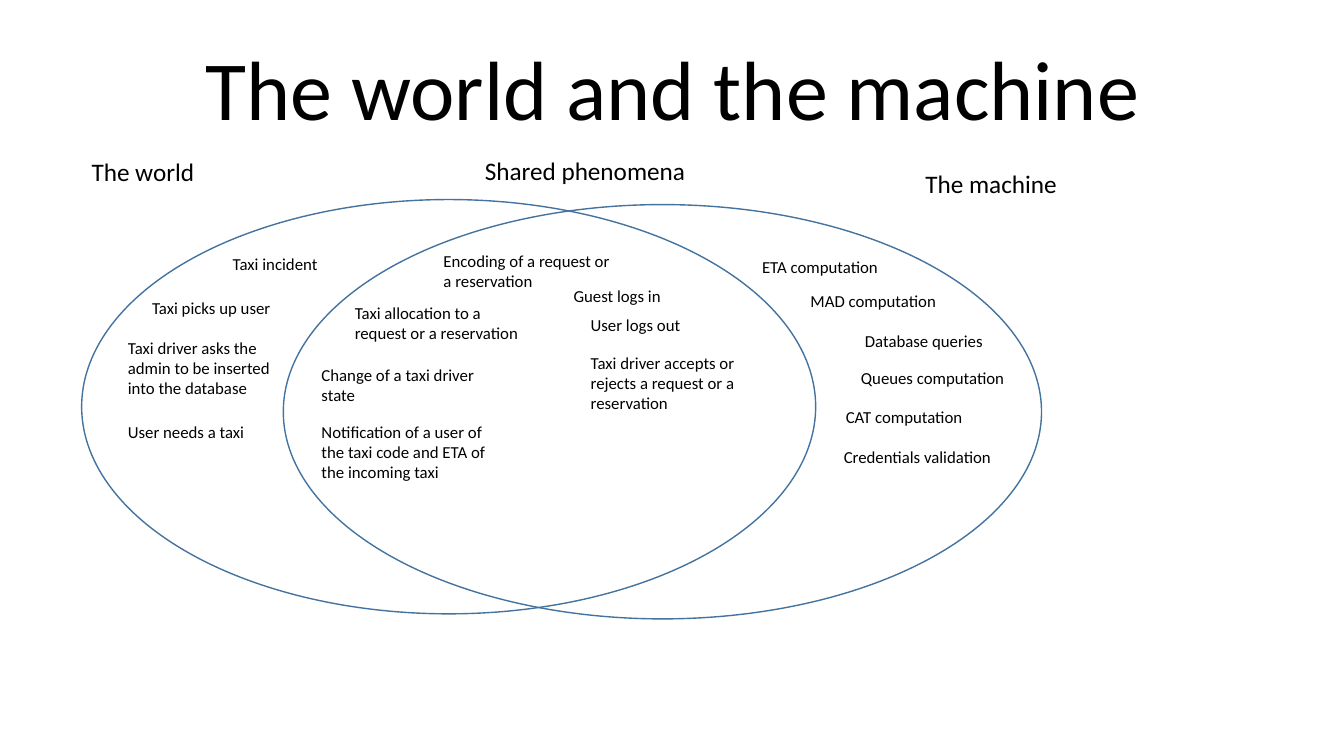
import pptx
import pptx.dml.color
import pptx.enum.shapes
import pptx.enum.text
import pptx.util

EMU_PER_PX = 9144  # 100 px to the inch
SLIDE_SIZE = (1333, 750)
BLACK = pptx.dml.color.RGBColor(0x00, 0x00, 0x00)
OUTLINE_BLUE = pptx.dml.color.RGBColor(0x43, 0x73, 0x9E)

TITLE = ("The world and the machine", (167, 29, 1000, 114))

# left, top, width, height
ELLIPSES = [
    (81, 198, 728, 411),
    (281, 203, 752, 411),
]

# text, (left, top, width, height)
HEADINGS = [
    ("The world", (81, 150, 217, 40)),
    ("The machine", (908, 162, 250, 71)),
    ("Shared phenomena", (471, 149, 229, 40)),
]

# text, left, top, height
PHENOMENA_WIDTH = 189
WORLD = [
    ("Taxi incident", 221, 247, 30),
    ("Taxi picks up user", 141, 290, 30),
    ("Taxi driver asks the admin to be inserted into the database", 117, 330, 71),
    ("User needs a taxi", 117, 413, 30),
]
SHARED = [
    ("Encoding of a request or a reservation", 430, 244, 50),
    ("Taxi allocation to a request or a reservation", 342, 295, 50),
    ("Change of a taxi driver state", 309, 357, 50),
    ("Notification of a user of the taxi code and ETA of the incoming taxi", 309, 413, 71),
    ("Guest logs in", 559, 279, 50),
    ("User logs out", 576, 307, 71),
    ("Taxi driver accepts or rejects a request or a reservation", 576, 345, 71),
]
MACHINE = [
    ("ETA computation", 746, 250, 30),
    ("MAD computation", 794, 284, 30),
    ("Database queries", 848, 323, 30),
    ("Queues computation", 844, 360, 30),
    ("CAT computation", 829, 399, 30),
    ("Credentials validation", 827, 438, 50),
]

TITLE_FRAME = {
    "word_wrap": True,
    "auto_size": pptx.enum.text.MSO_AUTO_SIZE.NONE,
    "vertical_anchor": pptx.enum.text.MSO_ANCHOR.BOTTOM,
}
TITLE_PARAGRAPH = {"alignment": pptx.enum.text.PP_ALIGN.CENTER, "line_spacing": 0.9}
LABEL_FRAME = {
    "word_wrap": True,
    "auto_size": pptx.enum.text.MSO_AUTO_SIZE.SHAPE_TO_FIT_TEXT,
}


def to_emu(lengths):
    return [pptx.util.Emu(length * EMU_PER_PX) for length in lengths]


def set_attributes(target, values):
    for name, value in values.items():
        setattr(target, name, value)


def write_text(shape, text, size, frame_format, paragraph_format):
    frame = shape.text_frame
    set_attributes(frame, frame_format)
    paragraph = frame.paragraphs[0]
    set_attributes(paragraph, paragraph_format)
    run = paragraph.add_run()
    run.text = text
    set_attributes(run.font, {"name": "Calibri", "size": pptx.util.Pt(size)})
    run.font.color.rgb = BLACK


def add_title(slide):
    text, box = TITLE
    title = slide.shapes.title
    set_attributes(title, dict(zip(("left", "top", "width", "height"), to_emu(box))))
    write_text(title, text, 60, TITLE_FRAME, TITLE_PARAGRAPH)
    subtitle = slide.placeholders[1].element
    subtitle.getparent().remove(subtitle)


def add_ellipse(slide, box):
    ellipse = slide.shapes.add_shape(pptx.enum.shapes.MSO_SHAPE.OVAL, *to_emu(box))
    ellipse.shadow.inherit = False
    ellipse.fill.background()
    ellipse.line.color.rgb = OUTLINE_BLUE
    ellipse.line.width = pptx.util.Pt(1)


def add_label(slide, text, box, size):
    label = slide.shapes.add_textbox(*to_emu(box))
    write_text(label, text, size, LABEL_FRAME, {})


def main():
    presentation = pptx.Presentation()
    presentation.slide_width, presentation.slide_height = to_emu(SLIDE_SIZE)
    slide = presentation.slides.add_slide(presentation.slide_layouts[0])
    add_title(slide)
    for box in ELLIPSES:
        add_ellipse(slide, box)
    for text, box in HEADINGS:
        add_label(slide, text, box, 18)
    for text, left, top, height in WORLD + SHARED + MACHINE:
        add_label(slide, text, (left, top, PHENOMENA_WIDTH, height), 12)
    presentation.save("out.pptx")


if __name__ == "__main__":
    main()
